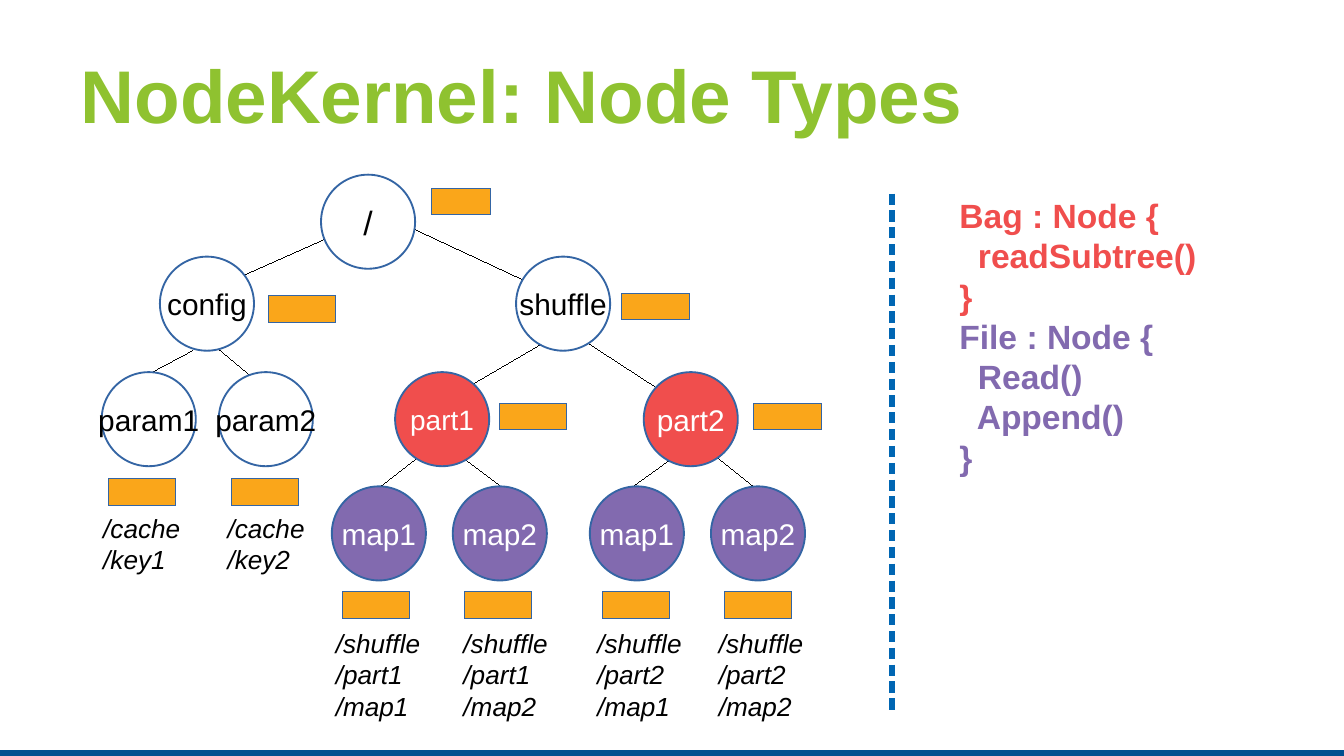
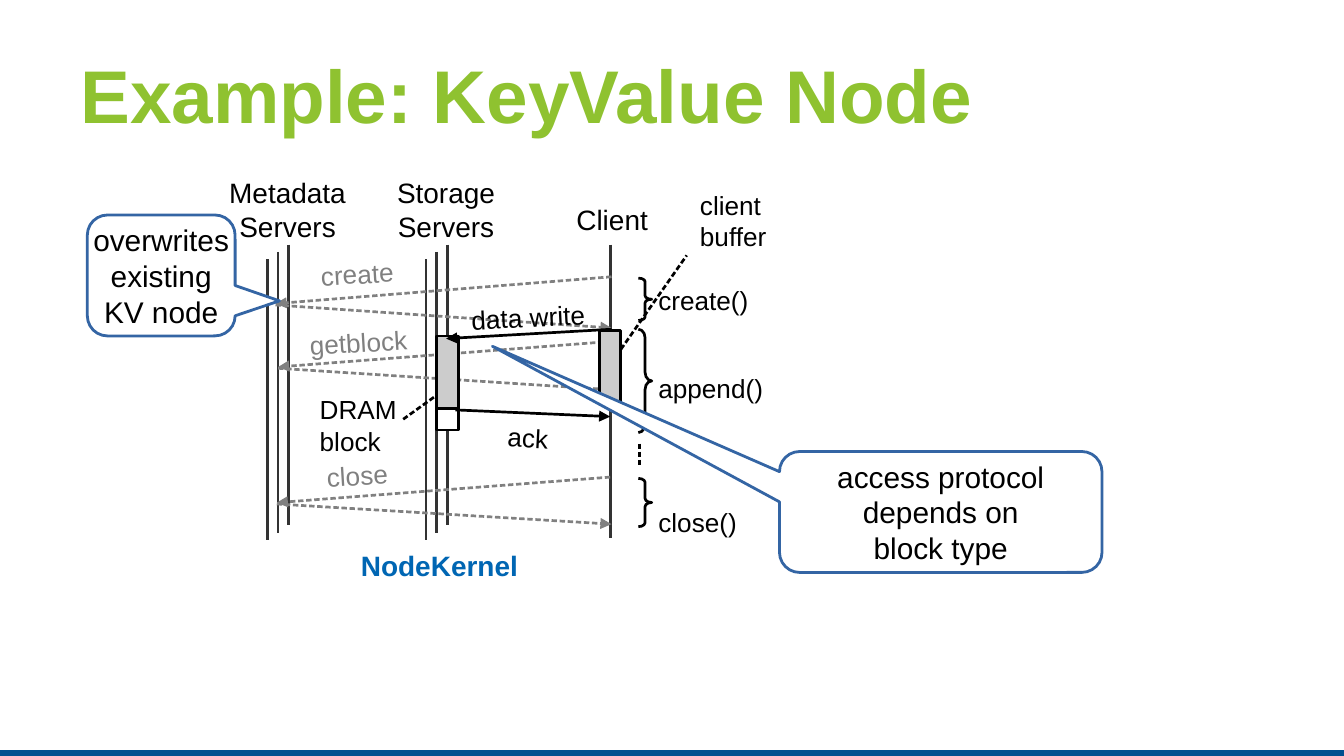
from dataclasses import dataclass
from typing import NamedTuple

from lxml.etree import SubElement
from pptx import Presentation
from pptx.dml.color import RGBColor
from pptx.enum.shapes import MSO_CONNECTOR, MSO_SHAPE
from pptx.enum.text import MSO_ANCHOR, MSO_AUTO_SIZE, PP_ALIGN
from pptx.oxml.ns import qn
from pptx.shapes.autoshape import Shape
from pptx.slide import Slide
from pptx.text.text import TextFrame
from pptx.util import Pt


@dataclass(frozen=True)
class Theme:
    font: str = "Arial"
    green: str = "8FC230"
    band: str = "00508F"
    blue: str = "0066B3"
    edge: str = "3465A4"
    amber: str = "FAA61A"
    red: str = "F04E4D"
    violet: str = "826AAF"
    black: str = "000000"
    white: str = "FFFFFF"
    dark: str = "333333"
    gray: str = "808080"
    pale: str = "CCCCCC"
    title: int = 40
    code: int = 18
    body: int = 16
    label: int = 15
    note: int = 14
    hair: float = 0.01
    thin: float = 1
    mid: float = 1.45
    bold: float = 1.5
    thick: float = 3


T = Theme()
WIDE, HIGH = 720, 405
BALL = 50.4
BAR_W, BAR_H = 36, 14.4


class Box(NamedTuple):
    x: float
    y: float
    w: float
    h: float


class Line(NamedTuple):
    x1: float
    y1: float
    x2: float
    y2: float
    color: str = T.black
    width: float = T.mid
    dash: bool = False
    arrow: bool = False


class Style(NamedTuple):
    size: int = T.note
    color: str = T.black
    bold: bool = False
    slant: bool = False
    align: PP_ALIGN = PP_ALIGN.LEFT


class Note(NamedTuple):
    text: str
    box: Box
    style: Style = Style()
    tilt: float = 0


class Node(NamedTuple):
    name: str
    x: float
    y: float
    fill: str
    bar: Box
    size: int = T.body


class Bubble(NamedTuple):
    text: str
    box: Box
    tip: tuple[float, float]


def rgb(code: str) -> RGBColor:
    return RGBColor.from_string(code)


def write(frame: TextFrame, text: str, style: Style) -> None:
    for i, part in enumerate(text.split("\n")):
        para = frame.paragraphs[0] if i == 0 else frame.add_paragraph()
        para.text = part
        para.alignment = style.align
        font = para.font
        font.name, font.size = T.font, Pt(style.size)
        font.bold, font.italic = style.bold, style.slant
        font.color.rgb = rgb(style.color)


def draw(slide: Slide, kind: MSO_SHAPE, box: Box, fill: str | None = None,
         edge: str | None = None, width: float = T.hair) -> Shape:
    shape = slide.shapes.add_shape(kind, *map(Pt, box))
    shape.shadow.inherit = False
    for paint, color in ((shape.fill, fill), (shape.line.fill, edge)):
        if color:
            paint.solid()
            paint.fore_color.rgb = rgb(color)
        else:
            paint.background()
    if edge:
        shape.line.width = Pt(width)
    return shape


def fit(shape: Shape, text: str, style: Style) -> None:
    frame = shape.text_frame
    frame.word_wrap = False
    frame.vertical_anchor = MSO_ANCHOR.MIDDLE
    frame.margin_left = frame.margin_right = Pt(8)
    frame.margin_top = frame.margin_bottom = Pt(4.3)
    write(frame, text, style)


def link(slide: Slide, item: Line) -> None:
    ends = map(Pt, item[:4])
    wire = slide.shapes.add_connector(MSO_CONNECTOR.STRAIGHT, *ends)
    wire.line.color.rgb = rgb(item.color)
    wire.line.width = Pt(item.width)
    prop = wire.element.spPr
    stroke = prop.find(qn("a:ln"))
    if item.dash:
        dash = SubElement(stroke, qn("a:custDash"))
        SubElement(dash, qn("a:ds"), d="200000", sp="100000")
    if item.arrow:
        SubElement(stroke, qn("a:tailEnd"), type="triangle")
    SubElement(prop, qn("a:effectLst"))


def place(slide: Slide, note: Note) -> None:
    shape = slide.shapes.add_textbox(*map(Pt, note.box))
    shape.text_frame.word_wrap = True
    shape.rotation = note.tilt
    write(shape.text_frame, note.text, note.style)


def speak(slide: Slide, item: Bubble) -> None:
    shape = draw(slide, MSO_SHAPE.ROUNDED_RECTANGULAR_CALLOUT, item.box,
                 T.white, T.edge, T.bold)
    shape.adjustments[0], shape.adjustments[1] = item.tip
    fit(shape, item.text, Style(T.body, align=PP_ALIGN.CENTER))


def brace(slide: Slide, top: float, high: float) -> None:
    wide = 7.2
    shape = draw(slide, MSO_SHAPE.RIGHT_BRACE, Box(342, top, wide, high),
                 edge=T.black, width=T.mid)
    shape.adjustments[0] = high / 12 / wide


def start(deck: Presentation, text: str, width: float) -> Slide:
    slide = deck.slides.add_slide(deck.slide_layouts[5])
    head = slide.shapes.title
    head.left, head.top, head.width, head.height = map(Pt, (36, 16.2, width, 67.7))
    frame = head.text_frame
    frame.auto_size = MSO_AUTO_SIZE.NONE
    frame.vertical_anchor = MSO_ANCHOR.MIDDLE
    write(frame, text, Style(T.title, T.green, bold=True))
    return slide


def share_band(deck: Presentation, slide: Slide) -> None:
    band = draw(slide, MSO_SHAPE.RECTANGLE, Box(0, 401.8, WIDE, 3.6), T.band)
    band.element.nvSpPr.cNvPr.id = 99
    deck.slide_master.shapes.element.insert(2, band.element)


def bar(x: float, y: float, w: float = BAR_W) -> Box:
    return Box(x, y, w, BAR_H)


TREE = [
    Node("config", 85.7, 137.5, T.white, bar(144, 158.4)),
    Node("shuffle", 276.5, 137.5, T.white, bar(333.2, 157)),
    Node("part1", 211.7, 199.4, T.red, bar(267.8, 216), T.label),
    Node("part2", 344.9, 199.4, T.red, bar(403.9, 216)),
    Node("map1", 177.8, 260.6, T.violet, bar(183.6, 316.8)),
    Node("map2", 242.6, 260.6, T.violet, bar(249, 316.8)),
    Node("map1", 316, 260.6, T.violet, bar(322.6, 316.8)),
    Node("map2", 380.9, 260.6, T.violet, bar(388, 316.8)),
    Node("param1", 54.5, 199.4, T.white, bar(58.3, 256.3)),
    Node("param2", 117.2, 199.4, T.white, bar(123.8, 256.3)),
    Node("/", 172, 93.6, T.white, bar(231, 100.8, 31.7), T.code),
]
EDGES = [
    (190, 121, 125.3, 149.8), (218.2, 121, 280, 149.8),
    (103, 187.9, 81.4, 199.4), (117.4, 187.2, 139, 205.2),
    (248.4, 245.5, 268.6, 260.6), (223.2, 245.5, 203.8, 260.6),
    (360, 245.5, 339, 260.6), (383, 244, 411, 266.4),
    (297.4, 180, 254.2, 205.2), (310.3, 180.7, 353.5, 208.8),
]
ROUTES = [
    ("/shuffle\n/part1\n/map1", 172.8, 332.6), ("/shuffle\n/part1\n/map2", 241.2, 332.6),
    ("/shuffle\n/part2\n/map1", 312.9, 332.6), ("/shuffle\n/part2\n/map2", 378, 332.6),
    ("/cache\n/key1", 48.2, 270.7), ("/cache\n/key2", 114.8, 270.7),
]
CODE = [
    ("Bag : Node {\n  readSubtree()\n}", T.red, 3),
    ("File : Node {\n  Read()\n  Append()\n}", T.violet, 4),
]


def node_types(deck: Presentation) -> Slide:
    slide = start(deck, "NodeKernel: Node Types", 648)
    for ends in EDGES:
        link(slide, Line(*ends, width=T.hair))
    for text, x, y in ROUTES:
        place(slide, Note(text, Box(x, y, 61.2, 54), Style(slant=True)))
    for node in TREE:
        draw(slide, MSO_SHAPE.RECTANGLE, node.bar, T.amber, T.edge)
        ball = draw(slide, MSO_SHAPE.OVAL, Box(node.x, node.y, BALL, BALL),
                    node.fill, T.edge, T.thin)
        ink = T.black if node.fill == T.white else T.white
        fit(ball, node.name, Style(node.size, ink, align=PP_ALIGN.CENTER))
    link(slide, Line(478, 103.7, 478, 381.6, T.blue, T.thick, dash=True))
    code = slide.shapes.add_textbox(*map(Pt, (506.9, 100.8, 191.5, 229)))
    code.text_frame.word_wrap = True
    write(code.text_frame, "\n".join(text for text, _, _ in CODE),
          Style(T.code, bold=True))
    tints = [color for _, color, count in CODE for _ in range(count)]
    for para, tint in zip(code.text_frame.paragraphs, tints):
        para.font.color.rgb = rgb(tint)
    return slide


MID = Style(align=PP_ALIGN.CENTER)
DIM = MID._replace(color=T.gray)
HEAD = Style(T.label, align=PP_ALIGN.CENTER)
CALLS = [
    (327.6, 148.3, 147.6, 162.7), (147.6, 163.4, 327.6, 175.7),
    (326.9, 255.6, 148.3, 269.3), (148.3, 270, 327.6, 280.8),
    (149, 197.3, 327.6, 208.8), (327.6, 182.9, 149, 196.6),
]
HINTS = [
    (216, 224.6, 234, 211.7), (332.6, 187.2, 367.9, 136.8), (342.7, 237.6, 342.7, 250.6),
]
SENDS = [(244, 219.6, 326.9, 223.2), (327.6, 176.4, 239, 181.4)]
NOTES = [
    Note("Metadata\nServers", Box(107.3, 90.7, 93.6, 41), HEAD),
    Note("Storage\nServers", Box(192.2, 90.7, 93.6, 41), HEAD),
    Note("Client", Box(301.7, 105.1, 57.6, 23.8), Style(T.label)),
    Note("data write", Box(239, 157.7, 87.8, 23), MID, -3),
    Note("ack", Box(239, 222.5, 87.8, 23), MID, 3),
    Note("create", Box(154.8, 134.6, 73, 23), DIM, -3.6),
    Note("getblock", Box(155.5, 171.4, 73, 23), DIM, -3.6),
    Note("close", Box(154.8, 242.6, 73, 23), DIM, -3.6),
    Note("DRAM block", Box(164.2, 207.4, 57.6, 38.9)),
    Note("client\nbuffer", Box(367.9, 97.9, 57.6, 38.9)),
    Note("create()", Box(345.6, 149, 86.4, 23)),
    Note("append()", Box(345.6, 195.8, 86.4, 38.9)),
    Note("close()", Box(345.6, 267.8, 86.4, 38.9)),
    Note("NodeKernel", Box(143.3, 290.2, 184.3, 26.6),
         HEAD._replace(color=T.blue, bold=True)),
]
BUBBLES = [
    Bubble("overwrites\nexisting\nKV node", Box(46.8, 115.2, 79.2, 64.8), (0.8, 0.21)),
    Bubble("access protocol\ndepends on\nblock type",
           Box(417.6, 241.9, 172.8, 64.8), (-1.39, -1.37)),
]


def key_value(deck: Presentation) -> Slide:
    slide = start(deck, "Example: KeyValue Node", 662.4)
    for left in (143.3, 228.2):
        for i in range(3):
            x, y = left + 5.7 * i, 139 - 4 * i
            link(slide, Line(x, y, x, y + 150.5, T.dark))
    link(slide, Line(326.9, 131, 326.9, 288, T.dark))
    draw(slide, MSO_SHAPE.RECTANGLE, Box(234, 181.4, 11.5, 49), T.white, T.black, T.mid)
    for ends in CALLS:
        link(slide, Line(*ends, color=T.gray, dash=True, arrow=True))
    for ends in HINTS:
        link(slide, Line(*ends, dash=True))
    for top, high in ((149, 22.7), (176.4, 55.4), (256.3, 25.9)):
        brace(slide, top, high)
    for x, y in ((321.1, 177.1), (234, 180)):
        draw(slide, MSO_SHAPE.RECTANGLE, Box(x, y, 11.5, 38.9), T.pale, T.black, T.mid)
    for note in NOTES:
        place(slide, note)
    for ends in SENDS:
        link(slide, Line(*ends, arrow=True))
    for item in BUBBLES:
        speak(slide, item)
    return slide


def main() -> None:
    deck = Presentation()
    deck.slide_width, deck.slide_height = Pt(WIDE), Pt(HIGH)
    first = node_types(deck)
    key_value(deck)
    share_band(deck, first)
    deck.save("out.pptx")


if __name__ == "__main__":
    main()
